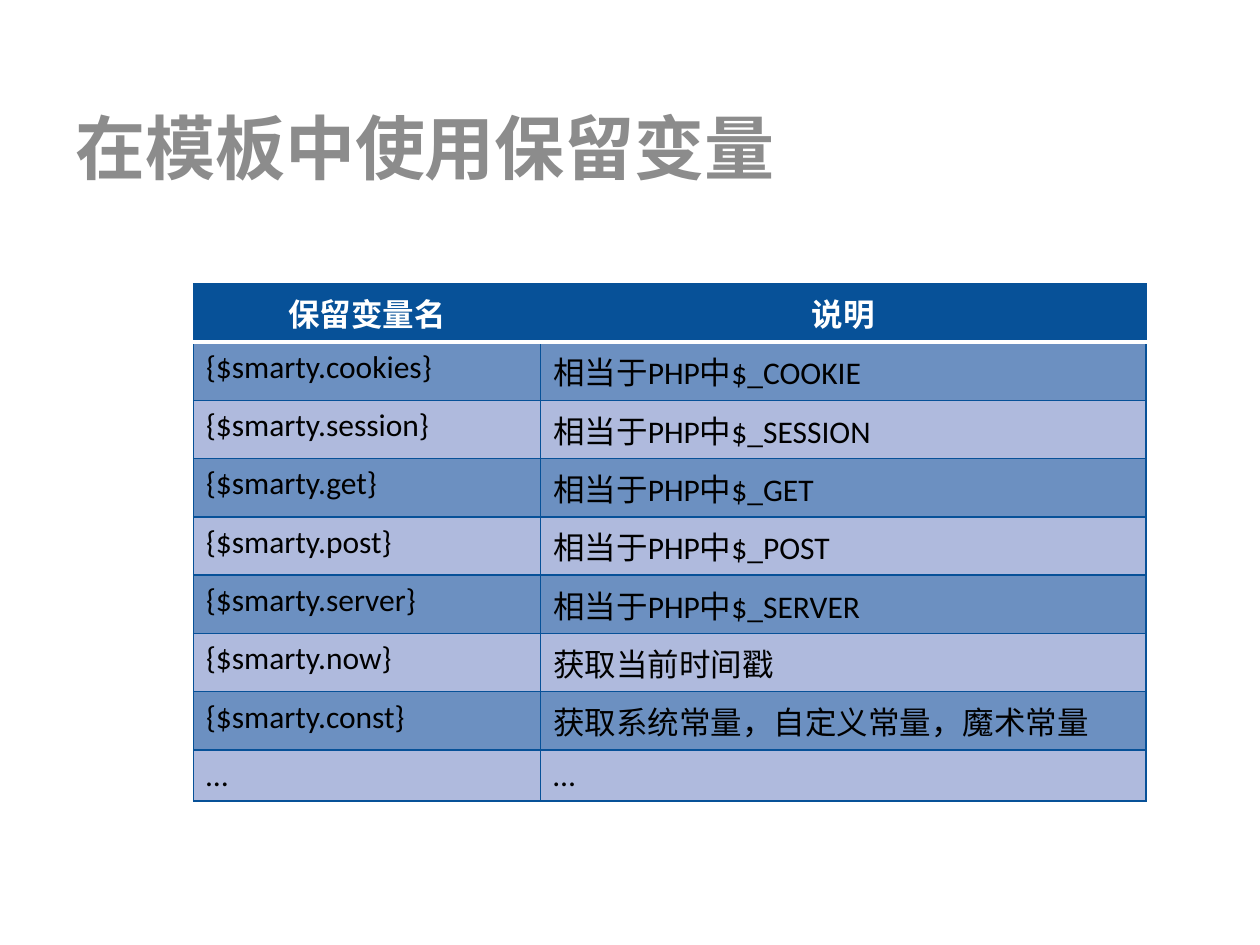
from lxml.etree import SubElement
from pptx import Presentation
from pptx.dml.color import RGBColor
from pptx.enum.text import MSO_ANCHOR as Anchor, PP_ALIGN as Align
from pptx.oxml.ns import qn
from pptx.util import Cm, Pt

FONT = "Calibri"
WHITE = RGBColor(0xFF, 0xFF, 0xFF)
BLACK = RGBColor(0x00, 0x00, 0x00)
GRAY = RGBColor(0x8C, 0x8C, 0x8C)
NAVY = RGBColor(0x07, 0x51, 0x98)
BAND_DARK = RGBColor(0x6C, 0x90, 0xC1)
BAND_LIGHT = RGBColor(0xAF, 0xBA, 0xDD)

HEADINGS = ("保留变量名", "说明")
VARIABLES = [
    ("{$smarty.cookies}", "相当于PHP中$_COOKIE"),
    ("{$smarty.session}", "相当于PHP中$_SESSION"),
    ("{$smarty.get}", "相当于PHP中$_GET"),
    ("{$smarty.post}", "相当于PHP中$_POST"),
    ("{$smarty.server}", "相当于PHP中$_SERVER"),
    ("{$smarty.now}", "获取当前时间戳"),
    ("{$smarty.const}", "获取系统常量，自定义常量，魔术常量"),
    ("…", "…"),
]


def write(paragraph, text, size, color, bold=False):
    run = paragraph.add_run()
    run.text = text
    run.font.name = FONT
    run.font.size = Pt(size)
    run.font.bold = bold
    run.font.color.rgb = color


def add_border(cell, side, color, width):
    line = SubElement(cell._tc.get_or_add_tcPr(), qn(f"a:ln{side}"), w=str(Pt(width)))
    fill = SubElement(line, qn("a:solidFill"))
    SubElement(fill, qn("a:srgbClr"), val=str(color))


def add_title(slide, left, top, width, height):
    title = slide.shapes.add_textbox(left, top, width, height).text_frame
    title.word_wrap = True
    title.vertical_anchor = Anchor.MIDDLE
    write(title.paragraphs[0], "在模板中使用保留变量", 40, GRAY, bold=True)


def add_variable_table(slide, left, top, width, height):
    rows = [HEADINGS, *VARIABLES]
    table = slide.shapes.add_table(len(rows), 2, left, top, width, height).table
    table.horz_banding = False
    name_width = Cm(7)
    table.columns[0].width = name_width
    table.columns[1].width = width - name_width

    # The closing ellipsis row is lower; the others share the rest equally
    last_height = Cm(1.03)
    row_height = (height - last_height) // (len(rows) - 1)

    for r, texts in enumerate(rows):
        is_header = r == 0
        table.rows[r].height = last_height if r == len(rows) - 1 else row_height
        # Thick white rule between the header and the body
        edges = {side: (NAVY, 0.9) for side in "LRTB"}
        if r < 2:
            edges["B" if is_header else "T"] = (WHITE, 3.15)
        band = BAND_DARK if r % 2 else BAND_LIGHT

        for c, text in enumerate(texts):
            cell = table.cell(r, c)
            for side, (color, line_width) in edges.items():
                add_border(cell, side, color, line_width)
            cell.fill.solid()
            cell.fill.fore_color.rgb = NAVY if is_header else band
            paragraph = cell.text_frame.paragraphs[0]
            paragraph.alignment = Align.CENTER if is_header else Align.LEFT
            write(paragraph, text, 18, WHITE if is_header else BLACK, is_header)


def main():
    prs = Presentation()
    prs.slide_width, prs.slide_height = Cm(25.4), Cm(19.05)
    slide = prs.slides.add_slide(prs.slide_layouts[6])
    add_title(slide, Cm(1.27), Cm(1.98), Cm(22.86), Cm(1.96))
    add_variable_table(slide, Cm(3.9), Cm(5.72), Cm(19.2), Cm(10.43))
    prs.save("out.pptx")


if __name__ == "__main__":
    main()
